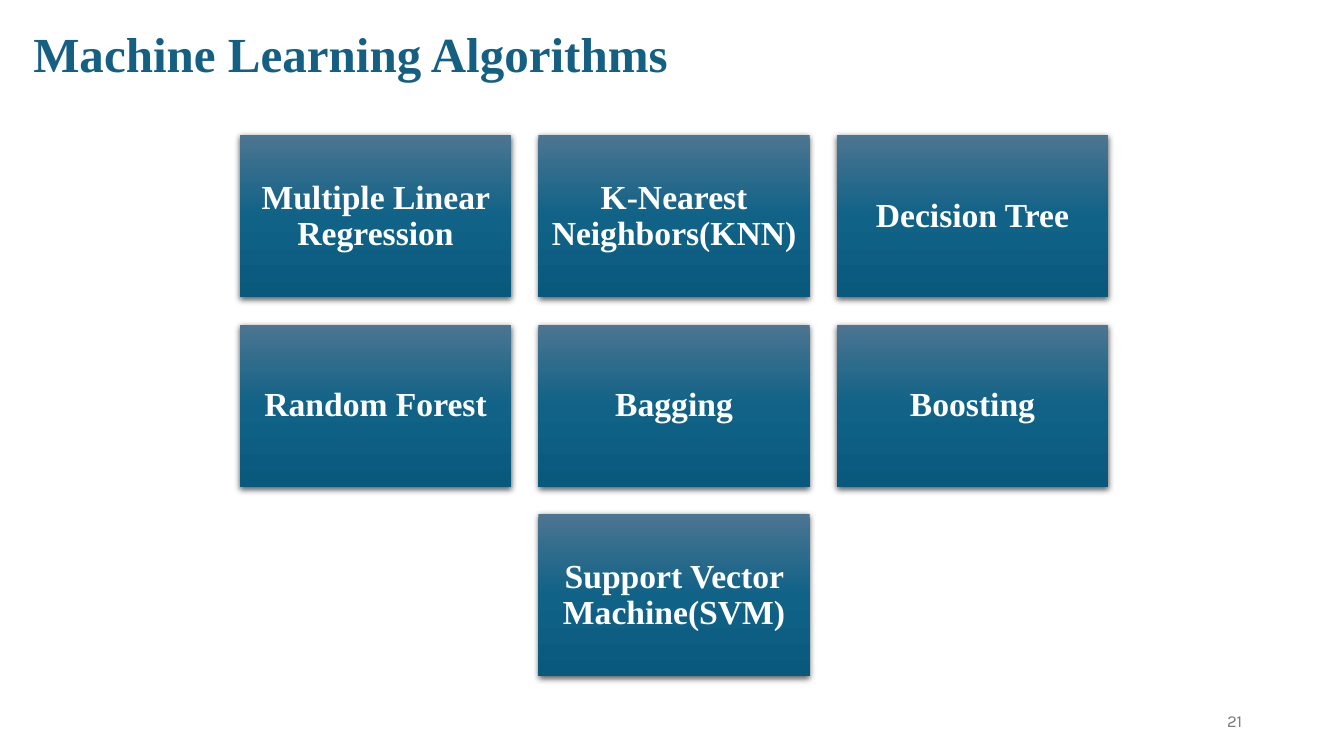
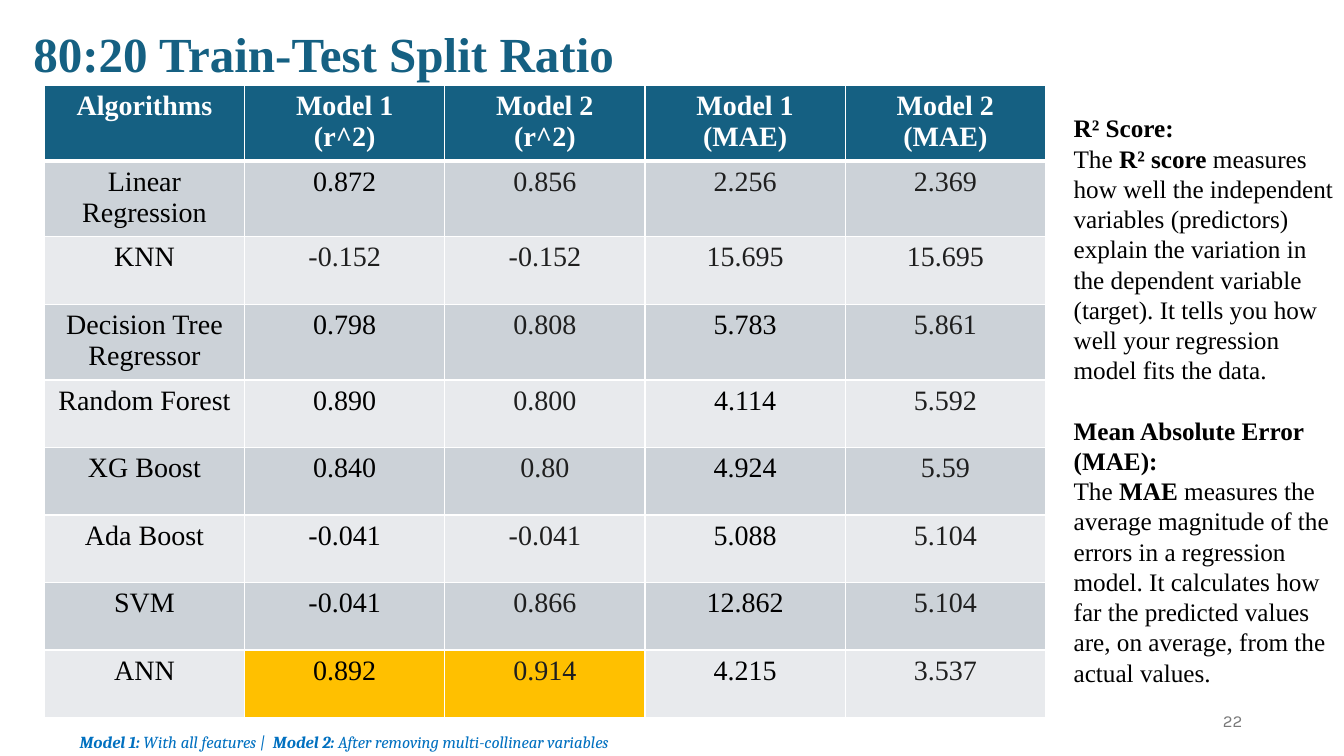
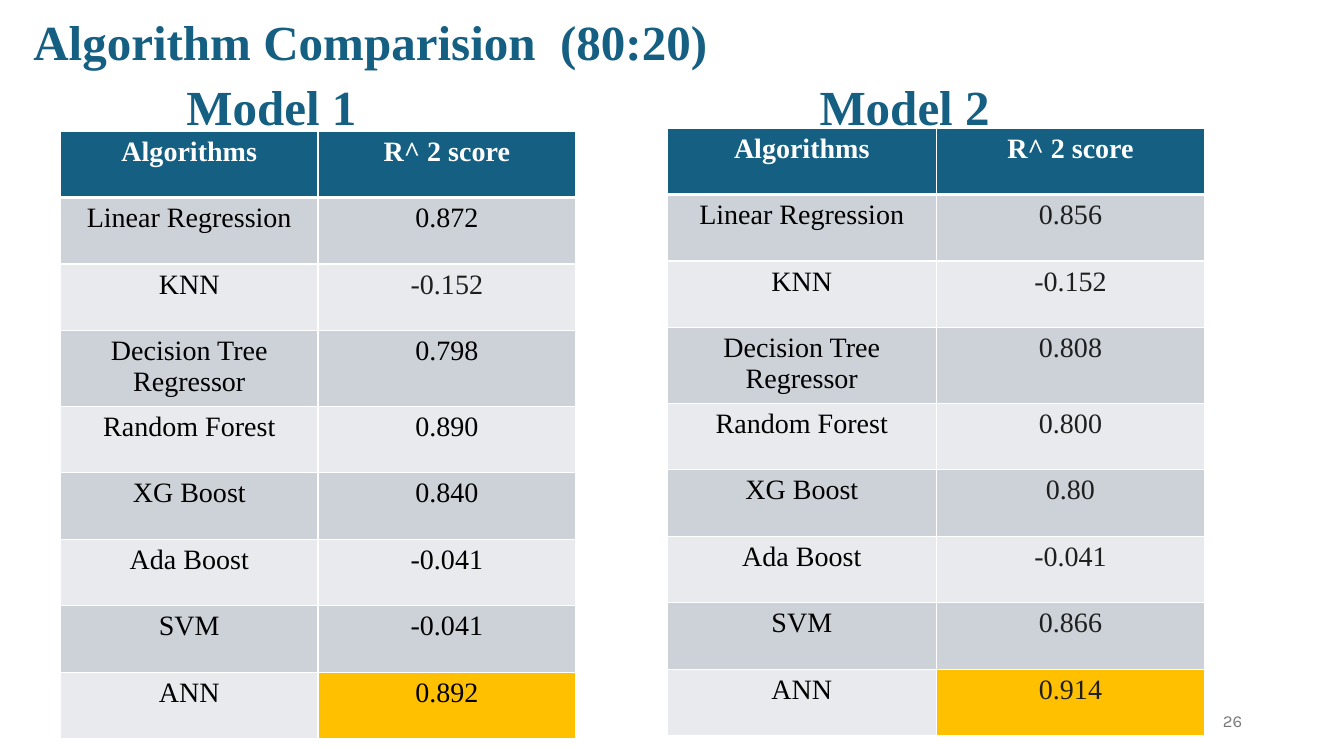
import copy
import pptx
import pptx.dml.color
import pptx.enum.shapes
import pptx.enum.text
import pptx.oxml
import pptx.oxml.ns
import pptx.util
from dataclasses import dataclass


@dataclass(frozen=True)
class Theme:
    accent: str = "156082"
    white: str = "FFFFFF"
    black: str = "000000"
    soft: str = "1F1F1F"
    number: str = "797979"
    note: str = "0070C0"
    highlight: str = "FFC000"
    bands: tuple = ("CCD2D8", "E8EAED")
    gradient: tuple = ((0, "4C7591"), (0.5, "106287"), (1, "09597D"))
    serif: str = "Times New Roman"
    note_font: str = "Cambria"
    number_font: str = "Karla"
    title_size: int = 35
    tile_size: int = 24
    table_size: int = 20
    body_size: int = 18
    small_size: int = 12


theme = Theme()
rgb = pptx.dml.color.RGBColor.from_string
qn = pptx.oxml.ns.qn
Align = pptx.enum.text.PP_ALIGN
Anchor = pptx.enum.text.MSO_ANCHOR

presentation = pptx.Presentation()
presentation.slide_width = pptx.util.Inches(13.33)
presentation.slide_height = pptx.util.Inches(7.5)
UNIT = presentation.slide_height / 75  # the page grid has 75 rows


def place(*cells):
    """Turn grid columns and rows into lengths."""
    return [round(cell * UNIT) for cell in cells]


def write(frame, *paragraphs, size=theme.body_size, color=theme.black,
          font=theme.serif, bold=False, italic=False, align=Align.LEFT,
          anchor=Anchor.TOP, line_spacing=None, gaps=None):
    """Fill a text frame; ** switches bold on and off, gaps maps index to points."""
    frame.word_wrap = True
    frame.auto_size = pptx.enum.text.MSO_AUTO_SIZE.NONE
    frame.vertical_anchor = anchor
    for index, text in enumerate(paragraphs):
        paragraph = frame.paragraphs[0] if index == 0 else frame.add_paragraph()
        paragraph.alignment = align
        if line_spacing:
            paragraph.line_spacing = line_spacing
        if gaps and index in gaps:
            paragraph.space_before = pptx.util.Pt(gaps[index])
        for part, words in enumerate(text.split("**")):
            if not words:
                continue
            run = paragraph.add_run()
            run.text = words
            run.font.size = pptx.util.Pt(size)
            run.font.name = font
            run.font.bold = bold or part % 2 == 1
            run.font.italic = italic
            run.font.color.rgb = rgb(color)


# Titles and page numbers
slides = []
for title, top, number in (("Machine Learning Algorithms", 1.8, "21"),
                           ("80:20 Train-Test Split Ratio", 1.8, "22"),
                           ("Algorithm Comparision  (80:20)", 0.6, "26")):
    slide = presentation.slides.add_slide(presentation.slide_layouts[5])
    heading = slide.shapes.title
    heading.left, heading.top, heading.width, heading.height = place(2.3, top, 93, 6.9)
    write(heading.text_frame, title, size=theme.title_size, color=theme.accent, bold=True)
    number_box = slide.shapes.add_textbox(*place(94.2, 69.5, 30, 4))
    write(number_box.text_frame, number, size=theme.small_size, color=theme.number,
          font=theme.number_font, align=Align.RIGHT, anchor=Anchor.MIDDLE)
    slides.append(slide)
overview, split, comparison = slides

# Algorithm tiles: three to a row, short rows centred
tile_rows = (("Multiple Linear Regression", "K-Nearest Neighbors(KNN)", "Decision Tree"),
             ("Random Forest", "Bagging", "Boosting"),
             ("Support Vector Machine(SVM)",))
TILE_WIDTH, TILE_HEIGHT, TILE_GAP = 26.9, 16.1, 2.7
for row, names in enumerate(tile_rows):
    for column, name in enumerate(names, start=(3 - len(names)) // 2):
        tile = overview.shapes.add_shape(
            pptx.enum.shapes.MSO_SHAPE.RECTANGLE,
            *place(23.8 + column * (TILE_WIDTH + TILE_GAP),
                   13.4 + row * (TILE_HEIGHT + TILE_GAP), TILE_WIDTH, TILE_HEIGHT))
        tile.line.fill.background()
        tile.fill.gradient()
        tile.fill.gradient_angle = 270
        first_stop = tile.element.spPr.find(".//" + qn("a:gs"))
        first_stop.addnext(copy.deepcopy(first_stop))
        for stop, (position, color) in zip(tile.fill.gradient_stops, theme.gradient):
            stop.position = position
            stop.color.rgb = rgb(color)
        # Soft shadow below the tile
        tile.shadow.inherit = False
        tile.element.spPr.find(qn("a:effectLst")).append(pptx.oxml.parse_xml(
            f'<a:outerShdw {pptx.oxml.ns.nsdecls("a")} blurRad="57150" dist="19050" '
            'dir="5400000" algn="ctr" rotWithShape="0"><a:srgbClr val="000000">'
            '<a:alpha val="63000"/></a:srgbClr></a:outerShdw>'))
        write(tile.text_frame, name, size=theme.tile_size, color=theme.white,
              bold=True, align=Align.CENTER, anchor=Anchor.MIDDLE, line_spacing=0.9)

# Scores of each model, and the rows set in the softer black
algorithms = ("Linear Regression", "KNN", "Decision Tree\nRegressor", "Random Forest",
              "XG Boost", "Ada Boost", "SVM", "ANN")
every_row = range(len(algorithms))
model_1_r2 = ("0.872 -0.152 0.798 0.890 0.840 -0.041 -0.041 0.892".split(), (1,))
model_2_r2 = ("0.856 -0.152 0.808 0.800 0.80 -0.041 0.866 0.914".split(), every_row)
model_1_mae = ("2.256 15.695 5.783 4.114 4.924 5.088 12.862 4.215".split(), (0, 1))
model_2_mae = ("2.369 15.695 5.861 5.592 5.59 5.104 5.104 3.537".split(), every_row)
names = (algorithms, ())

# Score tables: slide, left, top, column width, row height, tall rows, columns
tables = (
    (split, 4.4, 8.5, 19.86, 6.7, (0, 1, 3),
     (("Algorithms", names), ("Model 1\n(r^2)", model_1_r2), ("Model 2\n(r^2)", model_2_r2),
      ("Model 1\n(MAE)", model_1_mae), ("Model 2\n(MAE)", model_2_mae))),
    (comparison, 6, 13, 25.55, 6.6, (3,),
     (("Algorithms", names), ("R^ 2 score", model_1_r2))),
    (comparison, 66.2, 12.7, 26.65, 6.6, (3,),
     (("Algorithms", names), ("R^ 2 score", model_2_r2))),
)
for slide, left, top, column_width, row_height, tall_rows, columns in tables:
    row_count = len(algorithms) + 1
    table = slide.shapes.add_table(
        row_count, len(columns),
        *place(left, top, column_width * len(columns), row_height * row_count)).table
    for row in range(row_count):
        table.rows[row].height = place(7.5 if row in tall_rows else row_height)[0]
    for column, (header, (values, soft_rows)) in enumerate(columns):
        table.columns[column].width = place(column_width)[0]
        for row, text in enumerate((header, *values)):
            cell = table.cell(row, column)
            is_header = row == 0
            is_best = row == row_count - 1 and values in (model_1_r2[0], model_2_r2[0])
            if is_header:
                color, fill = theme.white, theme.accent
            else:
                color = theme.soft if row - 1 in soft_rows else theme.black
                fill = theme.highlight if is_best else theme.bands[(row - 1) % 2]
            # White rules, heavier below the header
            for side in "LRTB":
                heavy = (row, side) in ((0, "B"), (1, "T"))
                cell._tc.get_or_add_tcPr().append(pptx.oxml.parse_xml(
                    f'<a:ln{side} {pptx.oxml.ns.nsdecls("a")} w="{38100 if heavy else 12700}">'
                    f'<a:solidFill><a:srgbClr val="{theme.white}"/></a:solidFill></a:ln{side}>'))
            cell.fill.solid()
            cell.fill.fore_color.rgb = rgb(fill)
            write(cell.text_frame, *text.split("\n"), size=theme.table_size, color=color,
                  bold=is_header, align=Align.CENTER)

# Explanation of the two measures
explanation = split.shapes.add_textbox(*place(105.5, 10.7, 27.8, 58.6))
write(explanation.text_frame,
      "**R² Score:**",
      "The **R² score** measures how well the independent variables (predictors) explain "
      "the variation in the dependent variable (target). It tells you how well your "
      "regression model fits the data.",
      "**Mean Absolute Error (MAE):**",
      "The **MAE** measures the average magnitude of the errors in a regression model. "
      "It calculates how far the predicted values are, on average, from the actual values.",
      gaps={2: 21.5})

# Key to the models
key = split.shapes.add_textbox(*place(6.9, 72.1, 64.9, 3))
write(key.text_frame,
      "**Model 1: **With all features |  **Model 2: **After removing multi-collinear variables",
      size=theme.small_size, color=theme.note, font=theme.note_font, italic=True)

# Headings above the two comparison tables
for model, left in (("Model 1", 17.5), ("Model 2", 80.3)):
    model_heading = comparison.shapes.add_textbox(*place(left, 7.1, 25, 6.9))
    write(model_heading.text_frame, model, size=theme.title_size, color=theme.accent, bold=True)

presentation.save("out.pptx")
